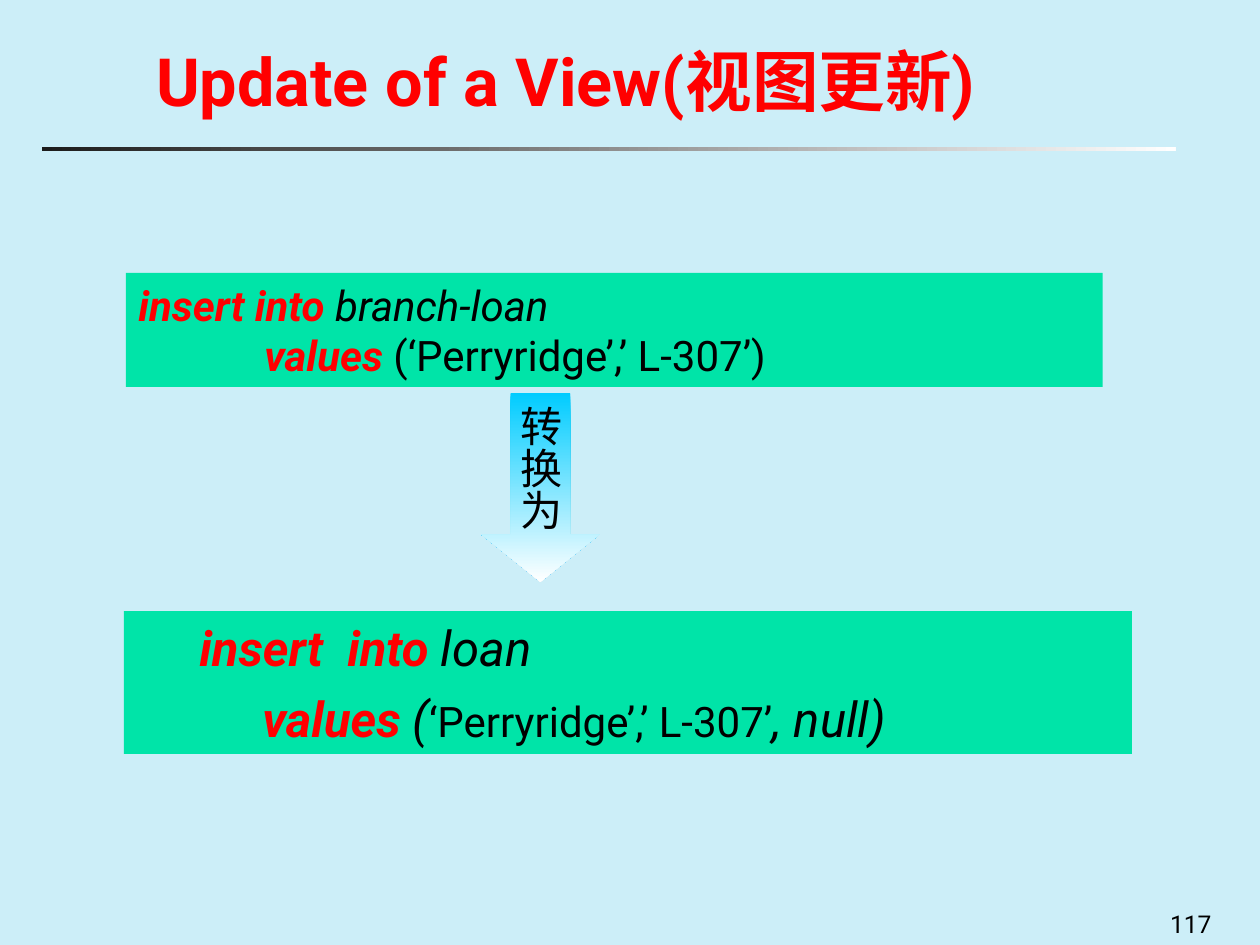
from pptx import Presentation
from pptx.dml.color import RGBColor
from pptx.enum.shapes import MSO_SHAPE
from pptx.enum.text import MSO_ANCHOR, PP_ALIGN
from pptx.util import Cm, Pt

RECTANGLE, DOWN_ARROW = MSO_SHAPE.RECTANGLE, MSO_SHAPE.DOWN_ARROW
TOP, MIDDLE, BOTTOM = MSO_ANCHOR.TOP, MSO_ANCHOR.MIDDLE, MSO_ANCHOR.BOTTOM
CENTER = PP_ALIGN.CENTER

PALE_BLUE = RGBColor(0xCC, 0xEE, 0xF8)
GREEN = RGBColor(0x00, 0xE4, 0xA8)
SKY = RGBColor(0x00, 0xCC, 0xFF)
RED = RGBColor(0xFF, 0x00, 0x00)
BLACK = RGBColor(0x00, 0x00, 0x00)
CHARCOAL = RGBColor(0x1C, 0x1C, 0x1C)
WHITE = RGBColor(0xFF, 0xFF, 0xFF)

# Run styles: colour, bold, italic
PLAIN = (BLACK, False, False)
VARIABLE = (BLACK, False, True)
HEADING = (RED, True, False)
KEYWORD = (RED, True, True)


class SlideBuilder:
    font = "Roboto"

    def __init__(self, slide):
        self.slide = slide
        background = slide.background.fill
        background.solid()
        background.fore_color.rgb = PALE_BLUE

    def add_run(self, paragraph, text, style, size):
        run = paragraph.add_run()
        run.text = text
        font = run.font
        font.name, font.size = self.font, Pt(size)
        font.color.rgb, font.bold, font.italic = style

    def shape(self, kind, left, top, width, height):
        shape = self.slide.shapes.add_shape(
            kind, Cm(left), Cm(top), Cm(width), Cm(height))
        shape.shadow.inherit = False
        shape.line.fill.background()
        return shape

    def gradient(self, shape, start, end, angle):
        shape.fill.gradient()
        shape.fill.gradient_angle = angle
        for stop, color in zip(shape.fill.gradient_stops, (start, end)):
            stop.color.rgb = color

    def label(self, text, style, size, left, top, width, height, anchor=TOP):
        box = self.slide.shapes.add_textbox(
            Cm(left), Cm(top), Cm(width), Cm(height))
        frame = box.text_frame
        frame.word_wrap = True
        frame.vertical_anchor = anchor
        self.add_run(frame.paragraphs[0], text, style, size)

    def statement(self, paragraphs, left, top, width, height, indent=0):
        """Green box; each paragraph lists (text, style, size), None breaks the line."""
        box = self.shape(RECTANGLE, left, top, width, height)
        box.fill.solid()
        box.fill.fore_color.rgb = GREEN
        frame = box.text_frame
        frame.vertical_anchor = TOP
        for number, pieces in enumerate(paragraphs):
            paragraph = frame.add_paragraph() if number else frame.paragraphs[0]
            paragraph.alignment = PP_ALIGN.LEFT
            if number:
                paragraph.space_before = Pt(7)
            if indent:
                properties = paragraph._p.get_or_add_pPr()
                properties.set("marL", str(Cm(indent)))
                properties.set("indent", "0")
            for piece in pieces:
                if piece is None:
                    paragraph.add_line_break()
                else:
                    self.add_run(paragraph, *piece)

    def vertical_arrow(self, text, left, top, width, height):
        arrow = self.shape(DOWN_ARROW, left, top, width, height)
        arrow.adjustments[0], arrow.adjustments[1] = 0.5, 0.4
        self.gradient(arrow, SKY, WHITE, 270)
        frame = arrow.text_frame
        frame.word_wrap = False
        frame.vertical_anchor = MIDDLE
        frame.margin_left = frame.margin_right = Cm(0.13)
        frame.margin_top = frame.margin_bottom = Cm(0.25)
        frame._txBody.bodyPr.set("vert", "eaVert")
        frame.paragraphs[0].alignment = CENTER
        self.add_run(frame.paragraphs[0], text, PLAIN, 24)


def main():
    prs = Presentation()
    prs.slide_width, prs.slide_height = Cm(25.4), Cm(19.05)
    builder = SlideBuilder(prs.slides.add_slide(prs.slide_layouts[6]))

    title_rule = builder.shape(RECTANGLE, 0.84, 2.96, 22.86, 0.09)
    builder.gradient(title_rule, CHARCOAL, WHITE, 0)
    builder.label("117", PLAIN, 14, 23.34, 18.21, 2, 0.84)

    builder.statement([
        [("insert into ", KEYWORD, 24), ("branch-loan", VARIABLE, 24), None,
         ("\t\t", VARIABLE, 24), ("values ", KEYWORD, 24),
         ("(‘Perryridge’,’ L-307’)", PLAIN, 24)],
    ], 2.54, 5.5, 19.69, 2.3)
    builder.statement([
        [("insert  into", KEYWORD, 28), (" loan", VARIABLE, 28)],
        [("\t", VARIABLE, 28), ("values ", KEYWORD, 28), ("(", VARIABLE, 28),
         ("‘Perryridge’,’ L-307’", PLAIN, 24), (", null)", VARIABLE, 28)],
    ], 2.5, 12.32, 20.32, 2.88, indent=1.27)
    builder.vertical_arrow("转换为", 9.7, 7.92, 2.39, 3.81)

    builder.label("Update of a View(视图更新)", HEADING, 38,
                  2.9, 0, 22.5, 2.54, BOTTOM)
    prs.save("out.pptx")


if __name__ == "__main__":
    main()
